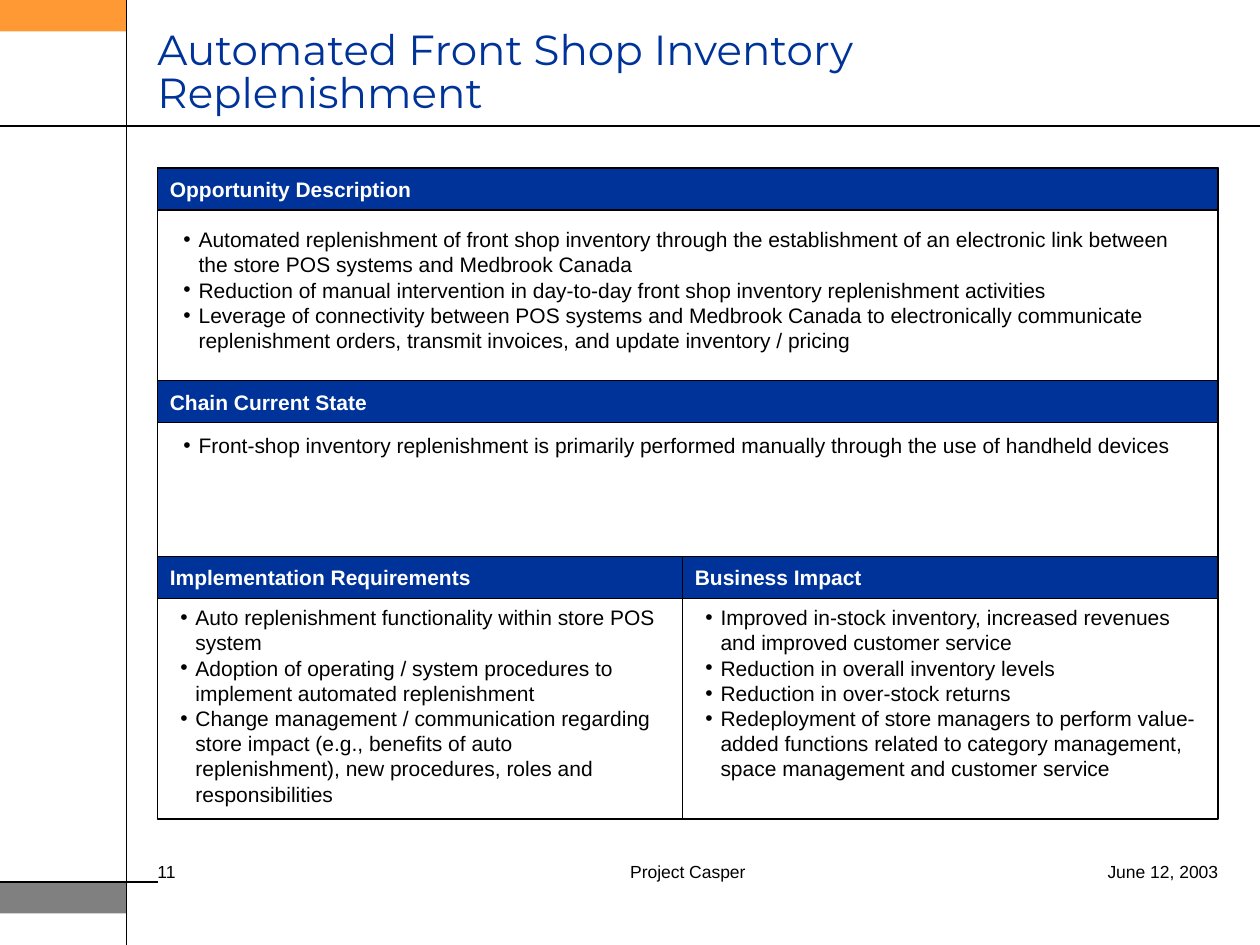
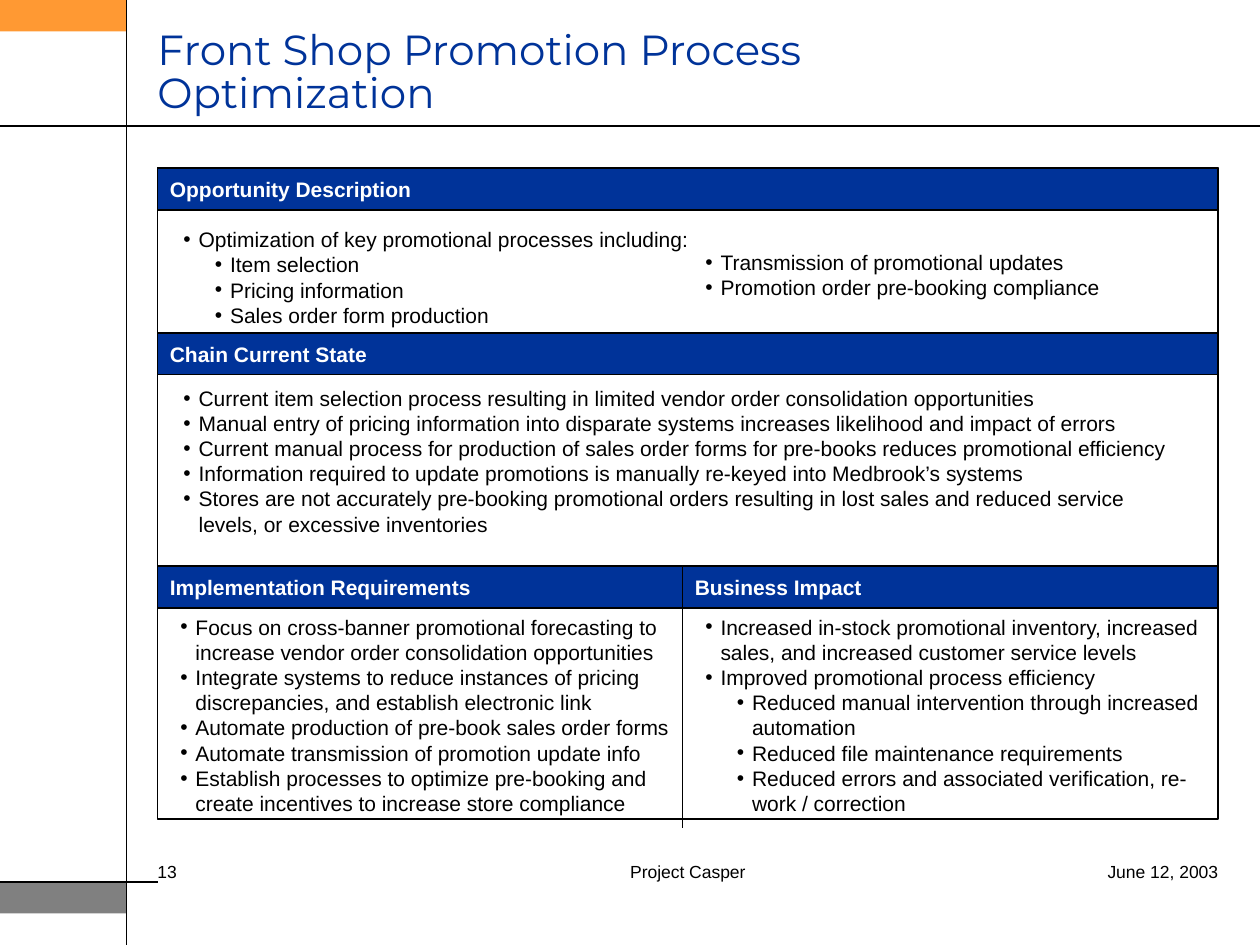
import pptx
import pptx.dml.color
import pptx.enum.shapes
import pptx.enum.text
import pptx.oxml
import pptx.oxml.ns
import pptx.util

BLUE, ORANGE, GREY, BLACK, WHITE = "003399", "FF9933", "808080", "000000", "FFFFFF"
PROJECT, DATE = "Project Casper", "June 12, 2003"
HEADINGS = {
    "opportunity": "Opportunity Description",
    "state": "Chain Current State",
    "requirements": "Implementation Requirements",
    "impact": "Business Impact",
}

# Each bullet is (level, text). Positions count grid cells of a twelfth of an inch:
# "rows" gives the top of the movable headings, "bodies" gives (key, left, drop, width,
# height, bullets), where drop is the distance below the heading of that key.
SLIDES = [
    {
        "title": "Automated Front Shop Inventory Replenishment",
        "number": "11",
        "rows": {"state": 36.25, "lower": 53},
        "bodies": [
            ("opportunity", 16.3, 1, 97.7, 13.2, [
                (0, "Automated replenishment of front shop inventory through the establishment of "
                    "an electronic link between the store POS systems and Medbrook Canada"),
                (0, "Reduction of manual intervention in day-to-day front shop inventory "
                    "replenishment activities"),
                (0, "Leverage of connectivity between POS systems and Medbrook Canada to "
                    "electronically communicate replenishment orders, transmit invoices, and "
                    "update inventory / pricing"),
            ]),
            ("state", 16.3, 0.4, 97.7, 8.4, [
                (0, "Front-shop inventory replenishment is primarily performed manually through "
                    "the use of handheld devices"),
            ]),
            ("requirements", 16, 0, 48, 27.6, [
                (0, "Auto replenishment functionality within store POS system"),
                (0, "Adoption of operating / system procedures to implement automated "
                    "replenishment"),
                (0, "Change management / communication regarding store impact (e.g., benefits of "
                    "auto replenishment), new procedures, roles and responsibilities"),
            ]),
            ("impact", 66, 0, 50, 20.4, [
                (0, "Improved in-stock inventory, increased revenues and improved customer "
                    "service"),
                (0, "Reduction in overall inventory levels"),
                (0, "Reduction in over-stock returns"),
                (0, "Redeployment of store managers to perform value-added functions related to "
                    "category management, space management and customer service"),
            ]),
        ],
    },
    {
        "title": "Front Shop Promotion Process Optimization",
        "number": "13",
        "rows": {"state": 31.7, "lower": 53.9},
        "bodies": [
            ("opportunity", 16.3, 1, 97.7, 10.8, [
                (0, "Optimization of key promotional processes including:"),
                (1, "Item selection"),
                (1, "Pricing information"),
                (1, "Sales order form production"),
            ]),
            ("opportunity", 66, 3.2, 50, 6, [
                (0, "Transmission of promotional updates"),
                (0, "Promotion order pre-booking compliance"),
            ]),
            ("state", 16.3, 0.4, 97.7, 20.4, [
                (0, "Current item selection process resulting in limited vendor order "
                    "consolidation opportunities"),
                (0, "Manual entry of pricing information into disparate systems increases "
                    "likelihood and impact of errors"),
                (0, "Current manual process for production of sales order forms for pre-books "
                    "reduces promotional efficiency"),
                (0, "Information required to update promotions is manually re-keyed into "
                    "Medbrook’s systems"),
                (0, "Stores are not accurately pre-booking promotional orders resulting in lost "
                    "sales and reduced service levels, or excessive inventories"),
            ]),
            ("requirements", 16, 0, 49, 20.4, [
                (0, "Focus on cross-banner promotional forecasting to increase vendor order "
                    "consolidation opportunities"),
                (0, "Integrate systems to reduce instances of pricing discrepancies, and "
                    "establish electronic link"),
                (0, "Automate production of pre-book sales order forms"),
                (0, "Automate transmission of promotion update info"),
                (0, "Establish processes to optimize pre-booking and create incentives to "
                    "increase store compliance"),
            ]),
            ("impact", 66, 0, 51, 25.2, [
                (0, "Increased in-stock promotional inventory, increased sales, and increased "
                    "customer service levels"),
                (0, "Improved promotional process efficiency"),
                (1, "Reduced manual intervention through increased automation"),
                (1, "Reduced file maintenance requirements"),
                (1, "Reduced errors and associated verification, re-work / correction"),
            ]),
        ],
    },
]

CELL = 1 / 12
COLUMNS, ROWS = 120, 90
LEFT, TOP, WIDTH, HEIGHT = 15, 16, 101, 62
SPLIT, BAND = 65, 4
RIGHT = LEFT + WIDTH
FOOTER_TOP, FOOTER_SIDE = 82, 25

ALIGN = pptx.enum.text.PP_ALIGN
TITLE_FONT = {"name": "Montserrat", "size": 24, "color": BLUE}
HEADING_FONT = {"name": "Arial", "size": 12, "color": WHITE, "bold": True}
BODY_FONT = {"name": "Arial", "size": 12, "color": BLACK}
FOOTER_FONT = {"name": "Arial", "size": 10, "color": BLACK}


def cells(*counts):
    return [pptx.util.Inches(count * CELL) for count in counts]


def rgb(color):
    return pptx.dml.color.RGBColor.from_string(color)


def element(xml):
    """Parse one drawing element given without its namespace."""
    tag, rest = xml.split(" ", 1)
    return pptx.oxml.parse_xml(f"{tag} {pptx.oxml.ns.nsdecls('a')} {rest}")


def write(para, text, font):
    span = para.add_run()
    span.text = text
    for name, value in font.items():
        if name == "color":
            span.font.color.rgb = rgb(value)
        else:
            setattr(span.font, name, pptx.util.Pt(value) if name == "size" else value)


def set_frame(frame, inset, anchor):
    across, down = pptx.util.Inches(inset), pptx.util.Inches(inset / 2)
    layout = {"word_wrap": True, "vertical_anchor": anchor, "margin_left": across,
              "margin_right": across, "margin_top": down, "margin_bottom": down}
    for name, value in layout.items():
        setattr(frame, name, value)


def add_box(page, area, fill=None, line=None):
    box = page.shapes.add_shape(pptx.enum.shapes.MSO_SHAPE.RECTANGLE, *cells(*area))
    box.shadow.inherit = False
    if fill:
        box.fill.solid()
        box.fill.fore_color.rgb = rgb(fill)
    else:
        box.fill.background()
    if line:
        box.line.color.rgb = rgb(line)
        box.line.width = pptx.util.Pt(0.75)
    else:
        box.line.fill.background()
    return box


def add_rule(page, ends, width=0.75):
    rule = page.shapes.add_connector(pptx.enum.shapes.MSO_CONNECTOR.STRAIGHT, *cells(*ends))
    rule.line.color.rgb = rgb(BLACK)
    rule.line.width = pptx.util.Pt(width)
    rule._element.spPr.append(element("<a:effectLst />"))


def add_text(page, area, text, font, align=ALIGN.LEFT, spacing=1.0):
    frame = page.shapes.add_textbox(*cells(*area)).text_frame
    set_frame(frame, 0, pptx.enum.text.MSO_ANCHOR.TOP)
    para = frame.paragraphs[0]
    para.alignment = align
    para.line_spacing = spacing
    write(para, text, font)


def add_heading(page, left, top, width, text):
    box = add_box(page, (left, top, width, BAND), BLUE, BLACK)
    set_frame(box.text_frame, 0.1, pptx.enum.text.MSO_ANCHOR.MIDDLE)
    para = box.text_frame.paragraphs[0]
    para.alignment = ALIGN.LEFT
    write(para, text, HEADING_FONT)


def add_bullets(page, area, bullets):
    frame = page.shapes.add_textbox(*cells(*area)).text_frame
    set_frame(frame, 0.1, pptx.enum.text.MSO_ANCHOR.TOP)
    frame.auto_size = pptx.enum.text.MSO_AUTO_SIZE.SHAPE_TO_FIT_TEXT
    for index, (level, text) in enumerate(bullets):
        para = frame.add_paragraph() if index else frame.paragraphs[0]
        para.level = level
        properties = para._p.get_or_add_pPr()
        properties.set("marL", str(pptx.util.Inches(0.12 + 0.25 * level)))
        properties.set("indent", str(-pptx.util.Inches(0.12)))
        properties.append(element(f'<a:buClr ><a:srgbClr val="{BLACK}"/></a:buClr>'))
        properties.append(element('<a:buFont typeface="Arial"/>'))
        properties.append(element('<a:buChar char="•"/>'))
        write(para, text, BODY_FONT)


def add_surround(page, title, number):
    """Draw the side bands, rules, title and footer that every slide has."""
    add_box(page, (0, 0, 12, 3), ORANGE)
    add_rule(page, (12, 0, 12, ROWS), 0.5)
    add_rule(page, (0, 12, COLUMNS, 12))
    add_box(page, (0, 84, 12, 3), GREY)
    add_rule(page, (0, 84, LEFT, 84))
    add_text(page, (LEFT, 3, 79, 9), title, TITLE_FONT, spacing=0.85)
    middle = LEFT + FOOTER_SIDE
    end = RIGHT - FOOTER_SIDE
    for left, width, text, align in (
        (LEFT, FOOTER_SIDE, number, ALIGN.LEFT),
        (middle, end - middle, PROJECT, ALIGN.CENTER),
        (end, FOOTER_SIDE, DATE, ALIGN.RIGHT),
    ):
        add_text(page, (left, FOOTER_TOP, width, 6), text, FOOTER_FONT, align)


def add_panel(page, rows, bodies):
    """Draw the framed panel with its four headings and their bullets."""
    lower = rows["lower"]
    headings = {
        "opportunity": (LEFT, TOP, WIDTH),
        "state": (LEFT, rows["state"], WIDTH),
        "requirements": (LEFT, lower, SPLIT - LEFT),
        "impact": (SPLIT, lower, RIGHT - SPLIT),
    }
    add_box(page, (LEFT, TOP, WIDTH, HEIGHT), line=BLACK)
    for key, place in headings.items():
        add_heading(page, *place, HEADINGS[key])
    add_rule(page, (SPLIT, lower + BAND, SPLIT, lower + BAND + 21))
    for key, left, drop, width, height, bullets in bodies:
        top = headings[key][1] + BAND + drop
        add_bullets(page, (left, top, width, height), bullets)


def main():
    deck = pptx.Presentation()
    deck.slide_width, deck.slide_height = cells(COLUMNS, ROWS)
    for content in SLIDES:
        page = deck.slides.add_slide(deck.slide_layouts[6])
        add_surround(page, content["title"], content["number"])
        add_panel(page, content["rows"], content["bodies"])
    deck.save("out.pptx")


if __name__ == "__main__":
    main()
